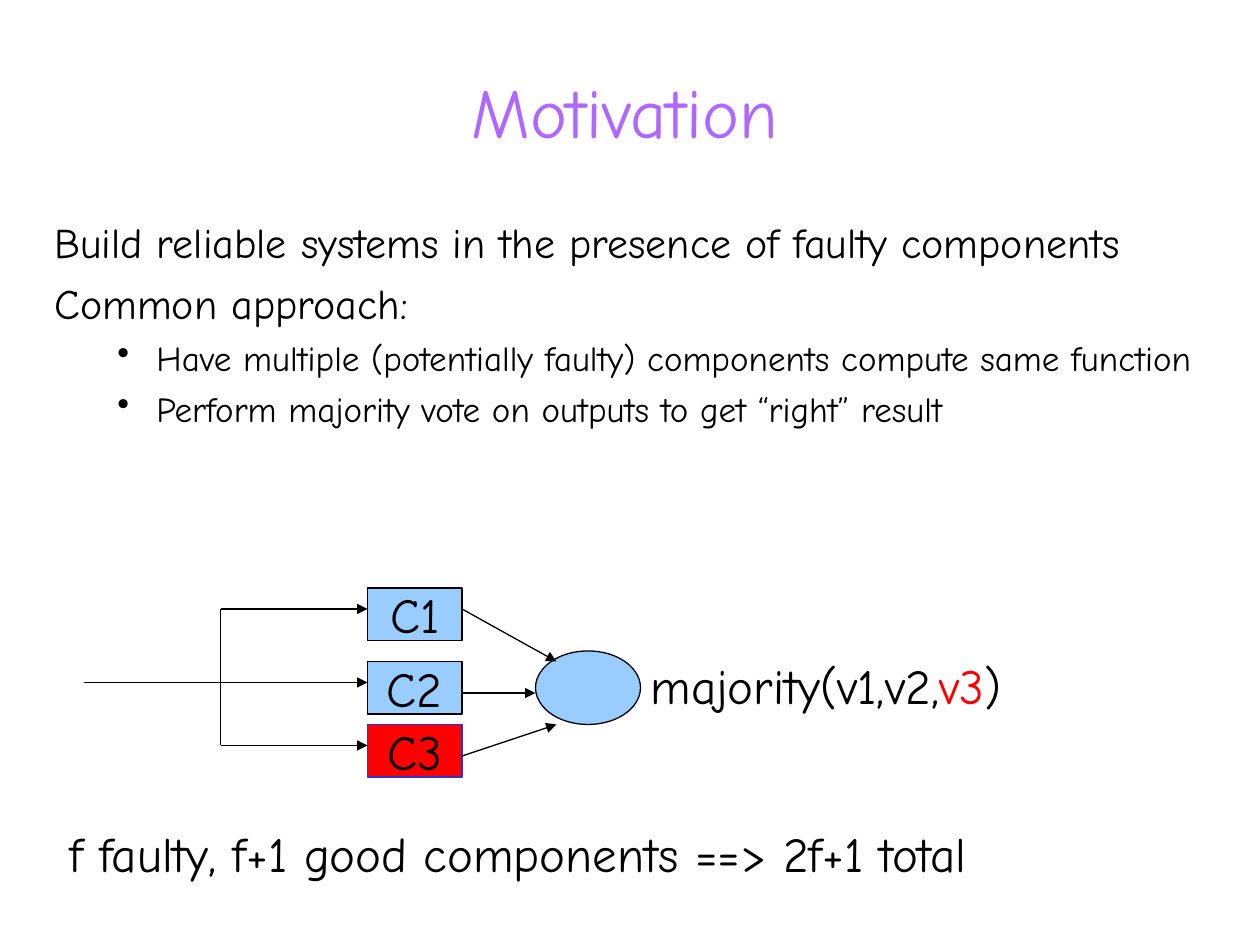
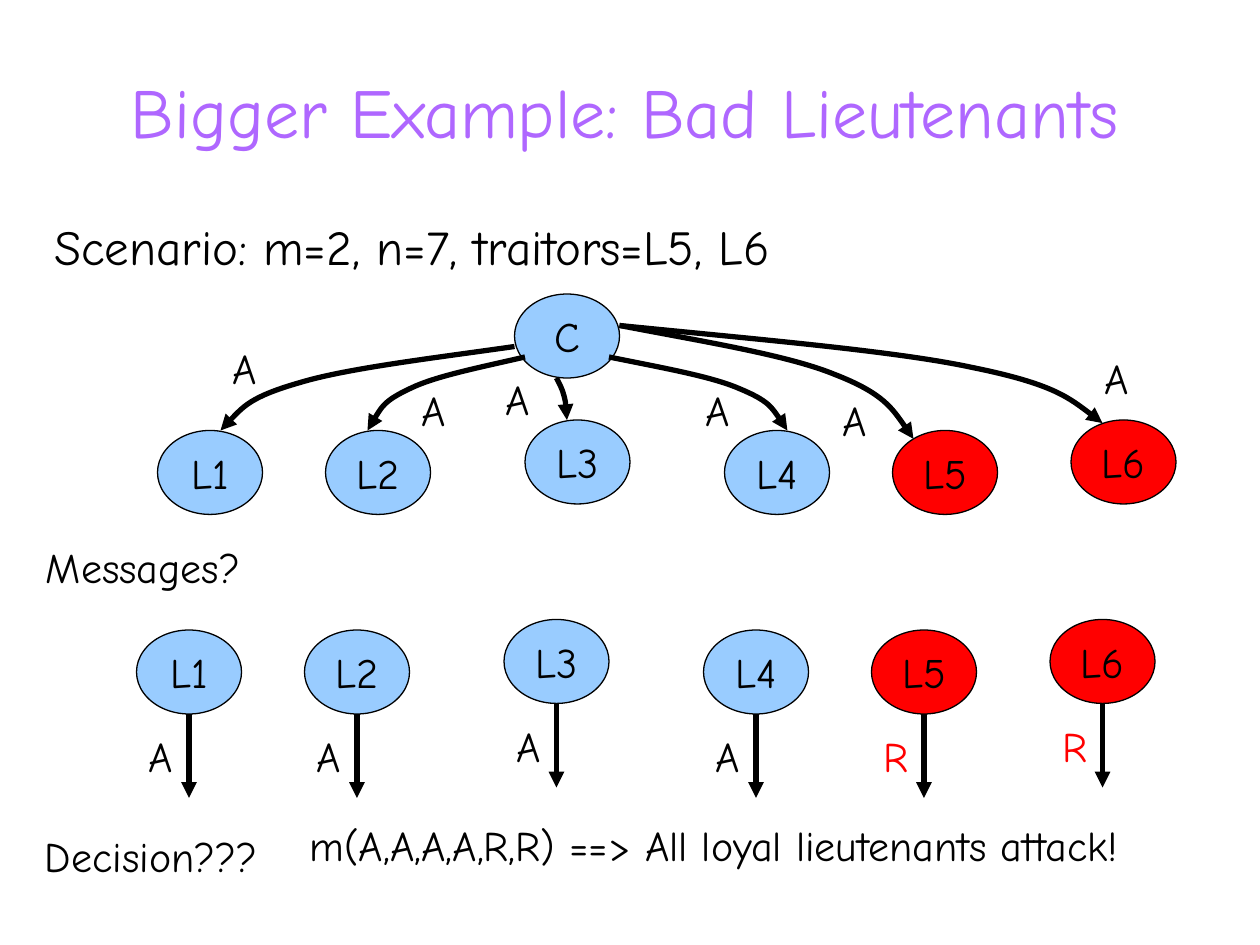
from lxml.etree import SubElement
from pptx import Presentation
from pptx.dml.color import RGBColor
from pptx.enum.shapes import MSO_CONNECTOR, MSO_SHAPE
from pptx.enum.text import MSO_ANCHOR, MSO_AUTO_SIZE, PP_ALIGN
from pptx.oxml.ns import qn
from pptx.util import Inches, Pt

HUES = {"ink": "000000", "title": "AF67FF", "good": "99CCFF",
        "bad": "FF0000", "edge": "3333CC"}
FACE = "Comic Neue"
BEND = [(0, 0), (.28, .14), (.57, .26), (.73, .43), (.9, .6), (.95, .81), (1, 1)]
NODE = (10, 8)
TEAM = [
    ("L1", 15, 41, (49, 33), (21, 41), (21, 32), "A"),
    ("L2", 31, 41, (50, 34), (35, 41), (39, 36), "A"),
    ("L3", 50, 40, (53, 36), (54, 40), (47, 35), "A"),
    ("L4", 69, 41, (58, 34), (75, 41), (66, 36), "A"),
    ("L5", 85, 41, (59, 31), (87, 41.8), (79.1, 37), "R"),
    ("L6", 102, 40, (59, 31), (105, 40.3), (104, 33), "R"),
]


def grid(*cells):
    """Turn grid cells, twelve to the inch, into lengths."""
    return [Inches(cell / 12) for cell in cells]


def hue(name):
    """Look up a colour by name."""
    return RGBColor.from_string(HUES[name])


def write(frame, *paras, size=24, color="ink", align=PP_ALIGN.LEFT,
          anchor=MSO_ANCHOR.TOP, wrap=True, gap=0, hang=None, bullet=False, more=False):
    """Write paragraphs, each a string or a list of (text, colour) runs."""
    frame.word_wrap, frame.vertical_anchor = wrap, anchor
    frame.auto_size = MSO_AUTO_SIZE.NONE
    for rank, para in enumerate(paras):
        fresh = rank == 0 and not more
        item = frame.paragraphs[0] if fresh else frame.add_paragraph()
        item.alignment = align
        item.space_before = Pt(0 if fresh else gap)
        props = item._p.get_or_add_pPr()
        if hang:
            props.set("marL", str(Inches(hang[0])))
            props.set("indent", str(Inches(hang[1])))
        if bullet:
            item.level = 1
            SubElement(props, qn("a:buChar"), char="•")
        for text, tint in [(para, color)] if isinstance(para, str) else para:
            run = item.add_run()
            run.text = text
            run.font.name, run.font.size = FACE, Pt(size)
            run.font.color.rgb = hue(tint)


def label(slide, text, left, top, wide=5, high=6, **style):
    """Add a text box and return its frame."""
    frame = slide.shapes.add_textbox(*grid(left, top, wide, high)).text_frame
    write(frame, text, **style)
    return frame


def block(slide, text, box, fill="good", edge="ink", kind=MSO_SHAPE.OVAL, size=24):
    """Add a filled shape with a centred caption."""
    shape = slide.shapes.add_shape(kind, *grid(*box))
    shape.shadow.inherit = False
    shape.fill.solid()
    shape.fill.fore_color.rgb = hue(fill)
    shape.line.color.rgb, shape.line.width = hue(edge), Pt(.75)
    if text:
        write(shape.text_frame, text, size=size, align=PP_ALIGN.CENTER,
              anchor=MSO_ANCHOR.MIDDLE, wrap=False)


def ink(shape, width, head):
    """Style a stroke and give it an arrowhead if asked."""
    shape.line.color.rgb, shape.line.width = hue("ink"), Pt(width)
    if head:
        SubElement(shape.element.spPr.find(qn("a:ln")), qn("a:tailEnd"), type="triangle")


def wire(slide, start, end, width=.75, head=True):
    """Add a straight connector."""
    line = slide.shapes.add_connector(MSO_CONNECTOR.STRAIGHT, *grid(*start, *end))
    ink(line, width, head)
    SubElement(line.element.spPr, qn("a:effectLst"))


def curve(slide, start, end):
    """Add a curved arrow that follows the shared bend."""
    dots = [grid(*(a + (b - a) * part for a, b, part in zip(start, end, dot)))
            for dot in BEND]
    pen = slide.shapes.build_freeform(*dots[0])
    pen.add_line_segments(dots[1:], close=False)
    shape = pen.convert_to_shape()
    shape.shadow.inherit = False
    shape.fill.background()
    steps = list(shape.element.iter(qn("a:lnTo")))
    for first, *rest in (steps[:3], steps[3:]):
        first.tag = qn("a:cubicBezTo")
        for step in rest:
            first.append(step[0])
            step.getparent().remove(step)
    ink(shape, 3, True)


def start_slide(deck, title):
    """Add a title-only slide with its title set."""
    slide = deck.slides.add_slide(deck.slide_layouts[5])
    head = slide.shapes.title
    head.left, head.top, head.width, head.height = grid(4, 4, 111, 13)
    write(head.text_frame, title, size=40, color="title",
          align=PP_ALIGN.CENTER, anchor=MSO_ANCHOR.MIDDLE)
    return slide


def motive(deck):
    """Build the slide on voting among components."""
    slide = start_slide(deck, "Motivation")
    hang = (.38, -.38)
    body = label(slide, "Build reliable systems in the presence of faulty components",
                 4, 20, 111, 40, hang=hang)
    write(body, "Common approach:", gap=6, hang=hang, more=True)
    write(body, "Have multiple (potentially faulty) components compute same function",
          "Perform majority vote on outputs to get “right” result",
          size=20, gap=5, hang=(.81, -.31), bullet=True, more=True)
    wire(slide, (8, 65), (35, 65))
    for row in (58, 71):
        wire(slide, (21, 65), (21, row), head=False)
        wire(slide, (21, row), (35, row))
    parts = [("C1", 56, "good", "ink"), ("C2", 63, "good", "ink"), ("C3", 69, "bad", "edge")]
    for name, row, fill, edge in parts:
        block(slide, name, (35, row, 9, 5), fill, edge, MSO_SHAPE.RECTANGLE, 28)
    block(slide, "", (51, 62, 10, 7))
    for row, end in ((58, (53, 63)), (66, (51, 66)), (72, (53, 69))):
        wire(slide, (44, row), end)
    label(slide, [("majority(v1,v2,", "ink"), ("v3", "bad"), (")", "ink")],
          60.8, 61.8, 41, 7, size=28)
    label(slide, "f faulty, f+1 good components ==> 2f+1 total", 5.4, 77.8, 100, 7, size=28)


def example(deck):
    """Build the slide on two bad lieutenants."""
    slide = start_slide(deck, "Bigger Example: Bad Lieutenants")
    label(slide, "Scenario: m=2, n=7, traitors=L5, L6", 4, 20, 111, 8,
          size=28, hang=(.38, -.38))
    block(slide, "C", (49, 28, *NODE))
    for name, left, top, start, end, spot, vote in TEAM:
        loyal = vote == "A"
        fill = "good" if loyal else "bad"
        block(slide, name, (left, top, *NODE), fill)
        curve(slide, start, end)
        label(slide, "A", *spot)
        block(slide, name, (left - 2, top + 19, *NODE), fill)
        mid, base = left + 3, top + 27
        wire(slide, (mid, base), (mid, base + 8), width=3)
        label(slide, vote, mid - 5, base + 1, color="ink" if loyal else "bad")
    label(slide, "Messages?", 3.2, 51, 23)
    label(slide, "Decision???", 3.1, 78.5, 24)
    label(slide, "m(A,A,A,A,R,R) ==> All loyal lieutenants attack!", 28.3, 77.5, 88)


def main():
    """Build and save the deck."""
    deck = Presentation()
    deck.slide_width, deck.slide_height = grid(120, 90)
    motive(deck)
    example(deck)
    deck.save("out.pptx")


if __name__ == "__main__":
    main()
